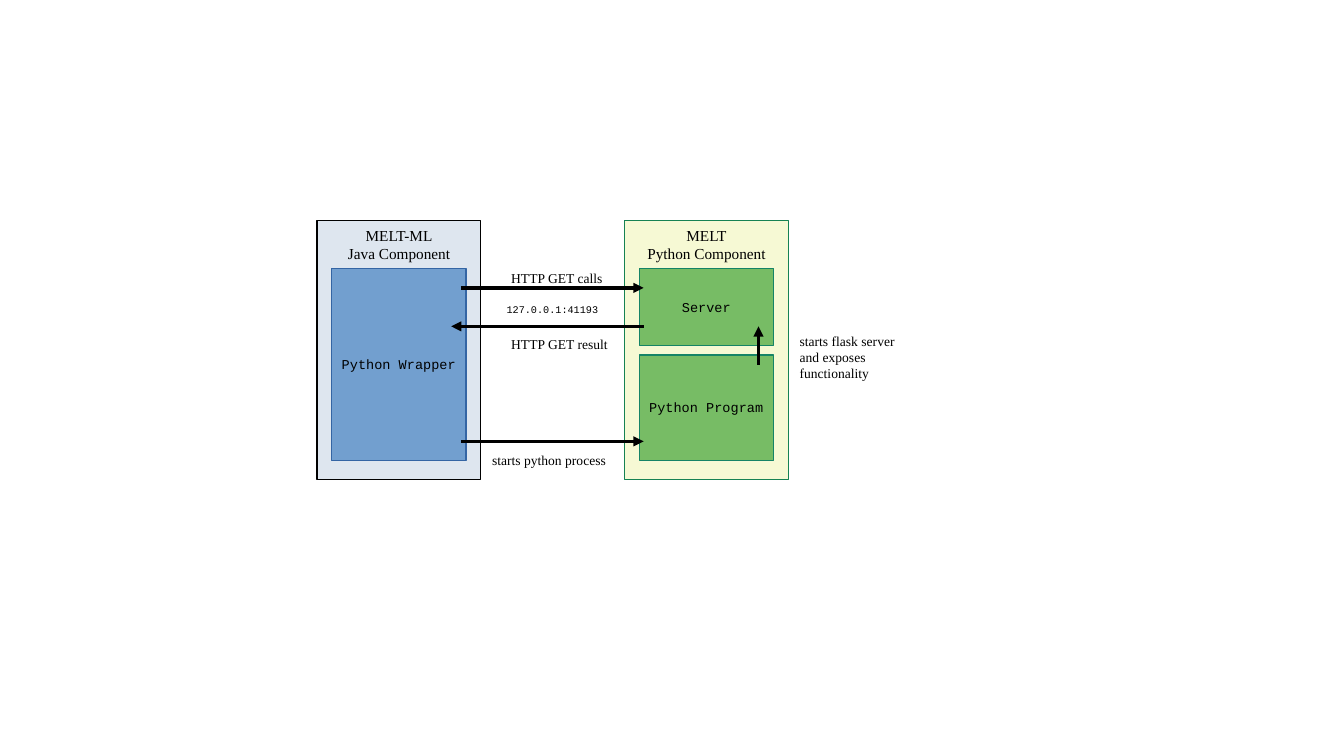
from dataclasses import dataclass

from lxml.etree import SubElement
from pptx import Presentation
from pptx.dml.color import RGBColor
from pptx.enum.shapes import MSO_CONNECTOR, MSO_SHAPE
from pptx.enum.text import MSO_ANCHOR, MSO_AUTO_SIZE, PP_ALIGN
from pptx.oxml.ns import qn
from pptx.slide import Slide
from pptx.text.text import TextFrame
from pptx.util import Pt

COLORS = {
    "black": "000000",
    "java_panel": "DEE6EF",
    "python_panel": "F6F9D4",
    "python_edge": "168253",
    "wrapper": "729FCF",
    "wrapper_edge": "3465A4",
    "program": "77BC65",
    "program_edge": "158466",
}
SERIF, MONO = "Times New Roman", "Courier New"

# Shared geometry: two panels, each with an inset column of blocks
JAVA_X, PYTHON_X = 187.2, 368.7
PANEL_TOP, PANEL_W, PANEL_H = 130.1, 96.7, 153.2
INSET = 8.7
BLOCK_W = PANEL_W - 2 * INSET
BLOCK_TOP, BLOCK_BOTTOM = 158.5, 271.8
SERVER_H, PROGRAM_H = 45.5, 62.2
JAVA_PORT, PYTHON_PORT = 272.1, 380


@dataclass
class Box:
    text: str
    x: float
    y: float
    w: float
    h: float
    fill: str
    edge: str
    size: float = 8
    font: str = MONO
    anchor: MSO_ANCHOR = MSO_ANCHOR.MIDDLE


@dataclass
class Label:
    text: str
    x: float
    y: float
    w: float
    h: float
    size: float = 8
    font: str = SERIF


@dataclass
class Arrow:
    x1: float
    y1: float
    x2: float
    y2: float


def panel(text: str, x: float, fill: str, edge: str) -> Box:
    return Box(text, x, PANEL_TOP, PANEL_W, PANEL_H, fill, edge, 9, SERIF, MSO_ANCHOR.TOP)


def block(text: str, panel_x: float, y: float, h: float, kind: str) -> Box:
    return Box(text, panel_x + INSET, y, BLOCK_W, h, kind, kind + "_edge")


BOXES = [
    panel("MELT-ML\nJava Component", JAVA_X, "java_panel", "black"),
    panel("MELT\nPython Component", PYTHON_X, "python_panel", "python_edge"),
    block("Python Program", PYTHON_X, BLOCK_BOTTOM - PROGRAM_H, PROGRAM_H, "program"),
    block("Python Wrapper", JAVA_X, BLOCK_TOP, BLOCK_BOTTOM - BLOCK_TOP, "wrapper"),
    block("Server", PYTHON_X, BLOCK_TOP, SERVER_H, "program"),
]
ARROWS = [
    Arrow(447.8, 215.3, 447.8, 192.7),
    Arrow(JAVA_PORT, 260.6, PYTHON_PORT, 260.6),
    Arrow(JAVA_PORT, 170, PYTHON_PORT, 170),
    Arrow(PYTHON_PORT, 192.7, 266.4, 192.7),
]
LABELS = [
    Label("starts python process", 283.4, 263.5, 113, 36.7),
    Label("starts flask server\nand exposes\nfunctionality", 465, 192.8, 113, 36.7),
    Label("HTTP GET calls", 294.7, 155.8, 73.4, 15.1),
    Label("HTTP GET result", 294.7, 194.6, 73.4, 15.1),
    Label("127.0.0.1:41193", 292, 175.7, 76.3, 18.7, 6, MONO),
]


def rgb(name: str) -> RGBColor:
    return RGBColor.from_string(COLORS[name])


def write(tf: TextFrame, text: str, *, size: float, font: str,
          align: PP_ALIGN = PP_ALIGN.LEFT, anchor: MSO_ANCHOR = MSO_ANCHOR.TOP,
          wrap: bool = True) -> None:
    tf.word_wrap = wrap
    tf.vertical_anchor = anchor
    tf.margin_left = tf.margin_right = Pt(7.2)
    tf.margin_top = tf.margin_bottom = Pt(3.6)
    p = tf.paragraphs[0]
    p.text = text.replace("\n", "\v")
    p.alignment = align
    for r in p.runs:
        r.font.size = Pt(size)
        r.font.name = font
        r.font.color.rgb = rgb("black")


def add_box(s: Slide, box: Box) -> None:
    sp = s.shapes.add_shape(MSO_SHAPE.RECTANGLE, Pt(box.x), Pt(box.y), Pt(box.w), Pt(box.h))
    sp.shadow.inherit = False
    sp.fill.solid()
    sp.fill.fore_color.rgb = rgb(box.fill)
    sp.line.color.rgb = rgb(box.edge)
    sp.line.width = Pt(0)
    write(sp.text_frame, box.text, size=box.size, font=box.font,
          align=PP_ALIGN.CENTER, anchor=box.anchor, wrap=False)


def add_label(s: Slide, label: Label) -> None:
    sp = s.shapes.add_textbox(Pt(label.x), Pt(label.y), Pt(label.w), Pt(label.h))
    write(sp.text_frame, label.text, size=label.size, font=label.font)
    sp.text_frame.auto_size = MSO_AUTO_SIZE.SHAPE_TO_FIT_TEXT


def add_arrow(s: Slide, arrow: Arrow) -> None:
    sp = s.shapes.add_connector(MSO_CONNECTOR.STRAIGHT, Pt(arrow.x1), Pt(arrow.y1),
                                Pt(arrow.x2), Pt(arrow.y2))
    sp.line.color.rgb = rgb("black")
    sp.line.width = Pt(0)
    SubElement(sp.line._get_or_add_ln(), qn("a:tailEnd"), type="triangle")
    SubElement(sp._element.spPr, qn("a:effectLst"))


def main() -> None:
    prs = Presentation()
    prs.slide_width, prs.slide_height = Pt(793.44), Pt(446.4)
    s = prs.slides.add_slide(prs.slide_layouts[6])

    # Components
    for box in BOXES:
        add_box(s, box)

    # Calls between components
    for arrow in ARROWS:
        add_arrow(s, arrow)

    # Captions
    for label in LABELS:
        add_label(s, label)

    prs.save("out.pptx")


if __name__ == "__main__":
    main()
